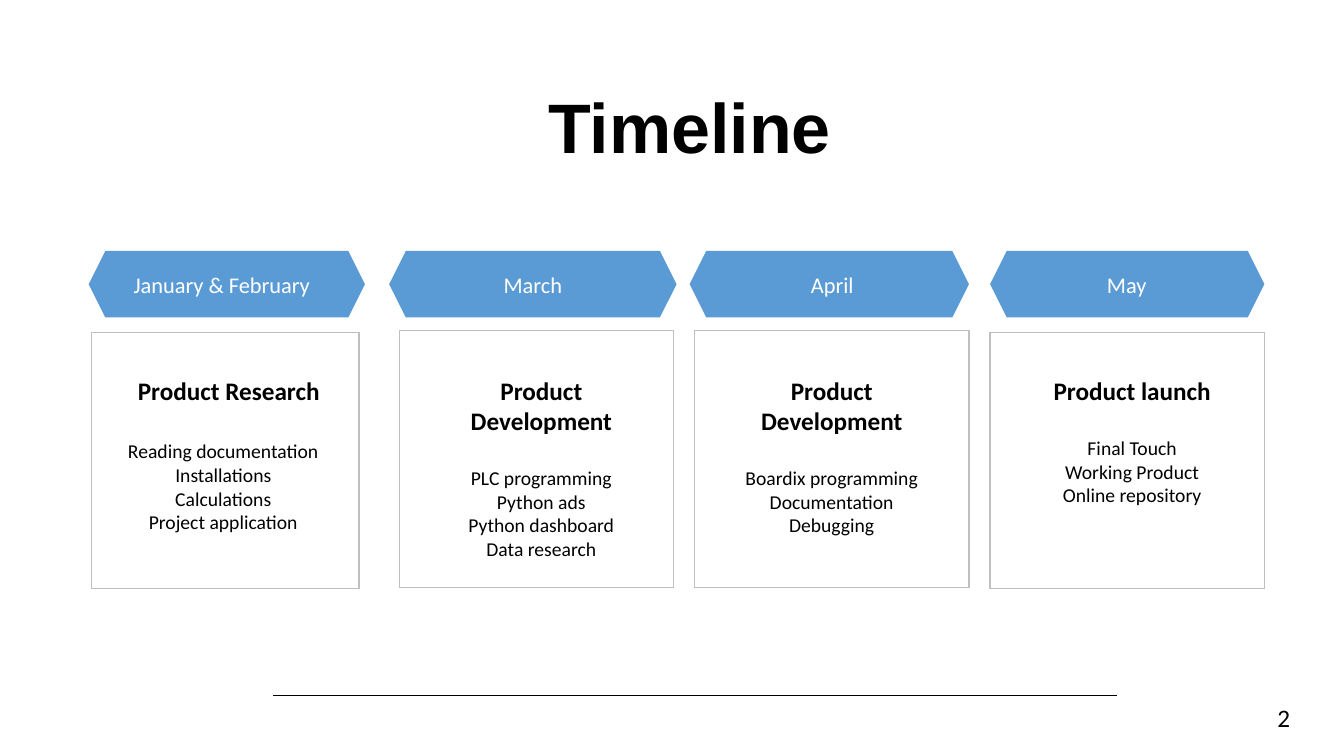
import pptx
import pptx.util
import pptx.dml.color
import pptx.enum.shapes
import pptx.enum.text
from pptx.util import Inches, Pt

COLOURS = {"banner": "5B9BD5", "border": "BFBFBF", "ink": "000000", "paper": "FFFFFF"}
SHAPES = pptx.enum.shapes.MSO_SHAPE
ALIGN = pptx.enum.text.PP_ALIGN
CARD_INSETS = (0.1, 0.05, 0, 0.05)

# Each place is left, top, width, height in inches.
PHASES = [
    {"month": "January & February", "banner": (0.88, 2.49, 2.74, 0.66),
     "label": (0.91, 2.64, 2.58, 0.37), "card": (0.91, 3.3, 2.65, 2.54),
     "text": (1.08, 3.67, 2.28, 0.5), "list": (1, 4.31, 2.43, 1.04),
     "heading": "Product Research",
     "tasks": ["Reading documentation", "Installations", "Calculations", "Project application"]},
    {"month": "March", "banner": (3.86, 2.49, 2.85, 0.66),
     "label": (4.14, 2.64, 2.29, 0.37), "card": (3.96, 3.28, 2.72, 2.55),
     "text": (4.18, 3.67, 2.28, 1.76), "heading": "Product Development",
     "tasks": ["PLC programming", "Python ads", "Python dashboard", "Data research"]},
    {"month": "April", "banner": (6.84, 2.49, 2.77, 0.66),
     "label": (7.1, 2.64, 2.31, 0.37), "card": (6.89, 3.28, 2.72, 2.55),
     "text": (7.06, 3.67, 2.28, 1.76), "heading": "Product Development",
     "tasks": ["Boardix programming", "Documentation", "Debugging"]},
    {"month": "May", "banner": (9.82, 2.49, 2.72, 0.66),
     "label": (10.11, 2.64, 2.13, 0.37), "card": (9.82, 3.3, 2.72, 2.54),
     "text": (10.04, 3.67, 2.28, 1.76), "heading": "Product launch",
     "tasks": ["Final Touch", "Working Product", "Online repository"]},
]


def colour(name):
    """Return the named colour of the palette."""
    return pptx.dml.color.RGBColor.from_string(COLOURS[name])


def add_paragraph(frame, text, size, ink="ink", bold=False, font="Calibri", align=ALIGN.CENTER):
    """Write one paragraph, using the first one while it is still empty."""
    first = frame.paragraphs[0]
    para = frame.add_paragraph() if first.runs else first
    para.text = text
    para.alignment = align
    para.font.name = font
    para.font.size = Pt(size)
    para.font.bold = bold
    para.font.color.rgb = colour(ink)
    return para


def add_text_frame(page, place, insets=(0.1, 0.05, 0.1, 0.05)):
    """Add a wrapping text box and return its text frame."""
    frame = page.shapes.add_textbox(*map(Inches, place)).text_frame
    frame.word_wrap = True
    frame.margin_left, frame.margin_top, frame.margin_right, frame.margin_bottom = map(Inches, insets)
    return frame


def add_panel(page, kind, place, fill=None, border=None):
    """Add a flat shape with an optional fill and border."""
    panel = page.shapes.add_shape(kind, *map(Inches, place))
    panel.shadow.inherit = False
    if fill:
        panel.fill.solid()
        panel.fill.fore_color.rgb = colour(fill)
    else:
        panel.fill.background()
    if border:
        panel.line.color.rgb = colour(border)
        panel.line.width = Pt(1)
    else:
        panel.line.fill.background()


def add_footer_line(page):
    """Draw the thin rule above the foot of the page."""
    rule = page.shapes.add_connector(
        pptx.enum.shapes.MSO_CONNECTOR.STRAIGHT,
        Inches(2.71), Inches(6.9), Inches(11.08), Inches(6.9))
    rule.line.color.rgb = colour("ink")
    rule.line.width = Pt(1)
    properties = rule._element.spPr
    properties.append(properties.makeelement(pptx.oxml.ns.qn("a:effectLst"), {}))


def add_phase(page, phase):
    """Add one phase: month banner, card, heading and tasks."""
    add_panel(page, SHAPES.HEXAGON, phase["banner"], fill="banner")
    add_panel(page, SHAPES.RECTANGLE, phase["card"], border="border")
    add_paragraph(add_text_frame(page, phase["label"]), phase["month"], 16, "paper")
    frame = add_text_frame(page, phase["text"], CARD_INSETS)
    heading = add_paragraph(frame, phase["heading"], 18, bold=True)
    if "list" in phase:
        frame = add_text_frame(page, phase["list"])
    else:
        heading.space_after = Pt(22)
    for task in phase["tasks"]:
        add_paragraph(frame, task, 14)


def main():
    """Build the timeline slide and save it."""
    deck = pptx.Presentation()
    deck.slide_width, deck.slide_height = Inches(13.33), Inches(7.5)
    page = deck.slides.add_slide(deck.slide_layouts[6])
    add_footer_line(page)
    title = add_text_frame(page, (0.74, 0.92, 12.2, 1.38), (0, 0, 0, 0))
    add_paragraph(title, "Timeline", 50, bold=True, font="Arial").line_spacing = 0.9
    for phase in PHASES:
        add_phase(page, phase)
    number = add_text_frame(page, (12.57, 6.92, 0.39, 0.4))
    add_paragraph(number, "2", 18, align=ALIGN.LEFT)
    deck.save("out.pptx")


if __name__ == "__main__":
    main()
